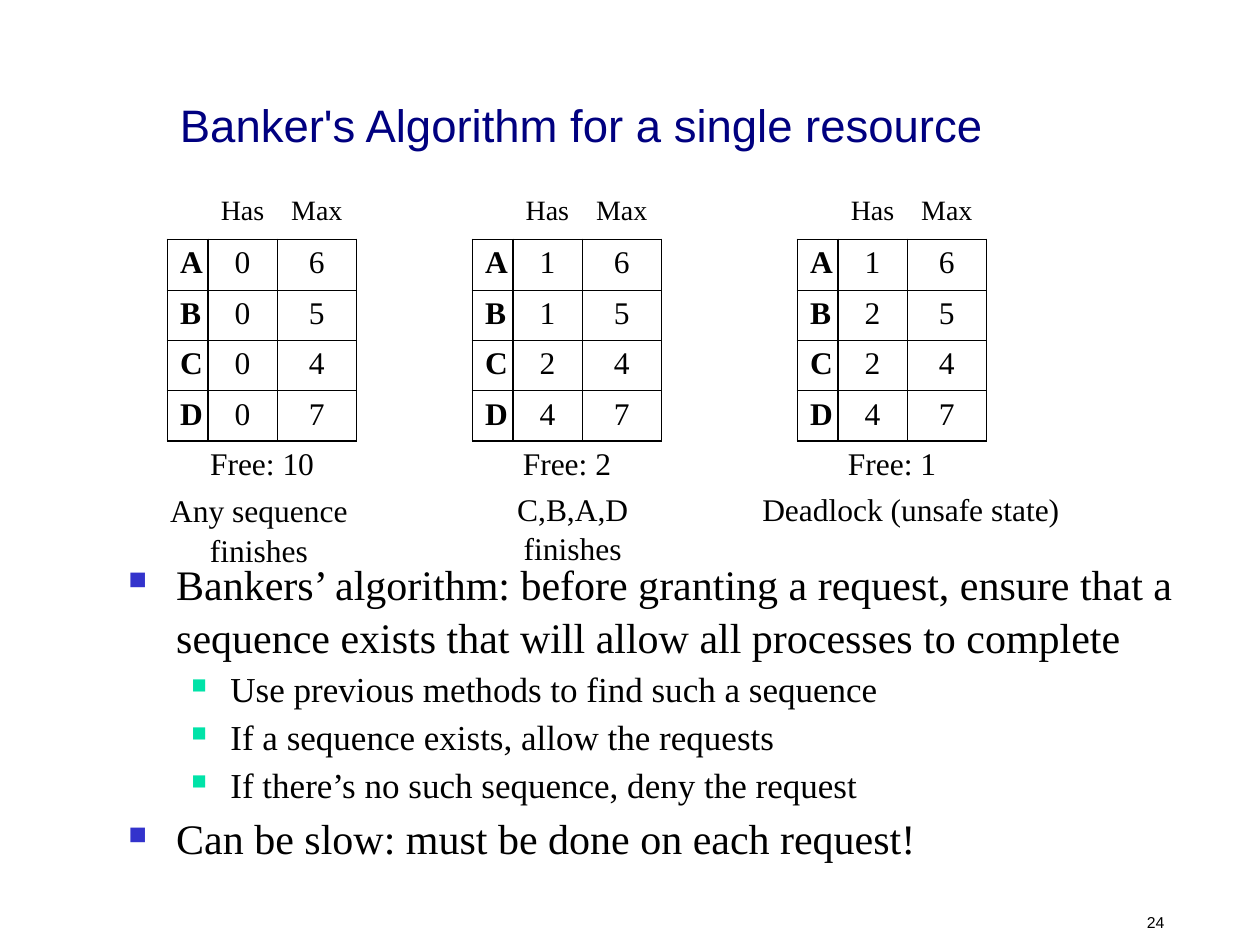
import dataclasses
import lxml.etree
import pptx
import pptx.dml.color
import pptx.enum.text
import pptx.oxml.ns
import pptx.util

Inches, Pt = pptx.util.Inches, pptx.util.Pt
Align, Anchor = pptx.enum.text.PP_ALIGN, pptx.enum.text.MSO_ANCHOR
qn = pptx.oxml.ns.qn


@dataclasses.dataclass
class Theme:
    sans: str = "Arial"
    serif: str = "Times New Roman"
    ink: str = "000000"
    navy: str = "000080"
    blue: str = "3333CC"
    green: str = "00E3A8"
    title: int = 26
    point: int = 24
    sub: int = 20
    cell: int = 18
    head: int = 16
    page: int = 9
    thick: float = 1.08
    thin: float = 0.45


theme = Theme()


def style(para, size, font=theme.serif, color=theme.ink, bold=False, align=Align.LEFT):
    para.alignment = align
    for run in para.runs:
        run.font.size = Pt(size)
        run.font.name = font
        run.font.bold = bold
        run.font.color.rgb = pptx.dml.color.RGBColor.from_string(color)


def add_box(left, top, width, height, text, anchor=Anchor.TOP):
    shape = slide.shapes.add_textbox(Inches(left), Inches(top), Inches(width), Inches(height))
    frame = shape.text_frame
    frame.word_wrap = True
    frame.vertical_anchor = anchor
    frame.text = text
    return frame


deck = pptx.Presentation()
deck.slide_width, deck.slide_height = Inches(10), Inches(7.5)
slide = deck.slides.add_slide(deck.slide_layouts[6])

# Page number and title
page = add_box(8.92, 7.17, 0.42, 0.27, "24", Anchor.BOTTOM)
style(page.paragraphs[0], theme.page, theme.sans, align=Align.RIGHT)
title = add_box(1.33, 0.58, 8.5, 0.67, "Banker's Algorithm for a single resource", Anchor.BOTTOM)
style(title.paragraphs[0], theme.title, theme.sans, theme.navy)

# Resource tables: left edge, units held, units free
names, most = "ABCD", (6, 5, 4, 7)
states = [
    (1.33, (0, 0, 0, 0), 10),
    (3.75, (1, 1, 2, 4), 2),
    (6.33, (1, 2, 2, 4), 1),
]
for left, held, free in states:
    rows = [("", "Has", "Max"), *zip(names, held, most), (f"Free: {free}", "", "")]
    last = len(rows) - 1
    frame = slide.shapes.add_table(len(rows), 3, Inches(left), Inches(1.5), Inches(1.5), Inches(2.4))
    table = frame.table
    table.first_row = table.horz_banding = False
    # Plain style without a grid
    table._tbl.tblPr.find(qn("a:tableStyleId")).text = "{2D5ABB26-0587-4C30-8999-92F81FD0307C}"
    for col, width in zip(table.columns, (0.32, 0.55, 0.63)):
        col.width = Inches(width)
    table.cell(last, 0).merge(table.cell(last, 2))

    for r, row in enumerate(rows):
        table.rows[r].height = Inches(0.4)
        for c, value in enumerate(row):
            cell = table.cell(r, c)
            cell.text_frame.text = str(value)
            inner = 0 < r < last
            style(cell.text_frame.paragraphs[0], theme.cell if r else theme.head,
                  bold=inner and c == 0, align=Align.CENTER)

            # Thick outline and name column, thin lines between the rest
            edges = {}
            if inner:
                edges = {
                    "L": theme.thin if c == 2 else theme.thick,
                    "R": theme.thin if c == 1 else theme.thick,
                    "T": theme.thick if r == 1 else theme.thin,
                    "B": theme.thick if r == last - 1 else theme.thin,
                }
            props = cell._tc.get_or_add_tcPr()
            for side, weight in edges.items():
                line = lxml.etree.SubElement(props, qn(f"a:ln{side}"), w=str(Pt(weight)))
                fill = lxml.etree.SubElement(line, qn("a:solidFill"))
                lxml.etree.SubElement(fill, qn("a:srgbClr"), val=theme.ink)
            cell.fill.background()

# Bullet list: level and text
points = [
    (0, "Bankers’ algorithm: before granting a request, ensure that a sequence exists "
        "that will allow all processes to complete"),
    (1, "Use previous methods to find such a sequence"),
    (1, "If a sequence exists, allow the requests"),
    (1, "If there’s no such sequence, deny the request"),
    (0, "Can be slow: must be done on each request!"),
]
# Size, bullet colour, space before, margin and hanging indent by level
levels = [
    (theme.point, theme.blue, 3, 0.38, 0.38),
    (theme.sub, theme.green, 2.5, 0.81, 0.31),
]
body = add_box(0.92, 4.37, 8.88, 2.62, "\n".join(text for _, text in points))
for para, (level, _) in zip(body.paragraphs, points):
    size, color, gap, margin, hang = levels[level]
    style(para, size)
    para.level = level
    para.space_before = Pt(gap)
    para.line_spacing = 1.04
    props = para._p.get_or_add_pPr()
    props.set("marL", str(Inches(margin)))
    props.set("indent", str(-Inches(hang)))
    tint = lxml.etree.SubElement(props, qn("a:buClr"))
    lxml.etree.SubElement(tint, qn("a:srgbClr"), val=color)
    lxml.etree.SubElement(props, qn("a:buSzPct"), val="60000")
    lxml.etree.SubElement(props, qn("a:buChar"), char="■")

# Captions: left, top, width, side inset, text
notes = [
    (0.84, 3.84, 2.43, 0.4, "Any sequence finishes"),
    (3.59, 3.83, 1.91, 0.4, "C,B,A,D finishes"),
    (5.95, 3.83, 2.56, 0.05, "Deadlock (unsafe state)"),
]
for left, top, width, inset, text in notes:
    note = add_box(left, top, width, 0.4, text)
    note.margin_left = note.margin_right = Inches(inset)
    style(note.paragraphs[0], theme.cell, align=Align.CENTER)
    note.paragraphs[0].line_spacing = 1.04

deck.save("out.pptx")
